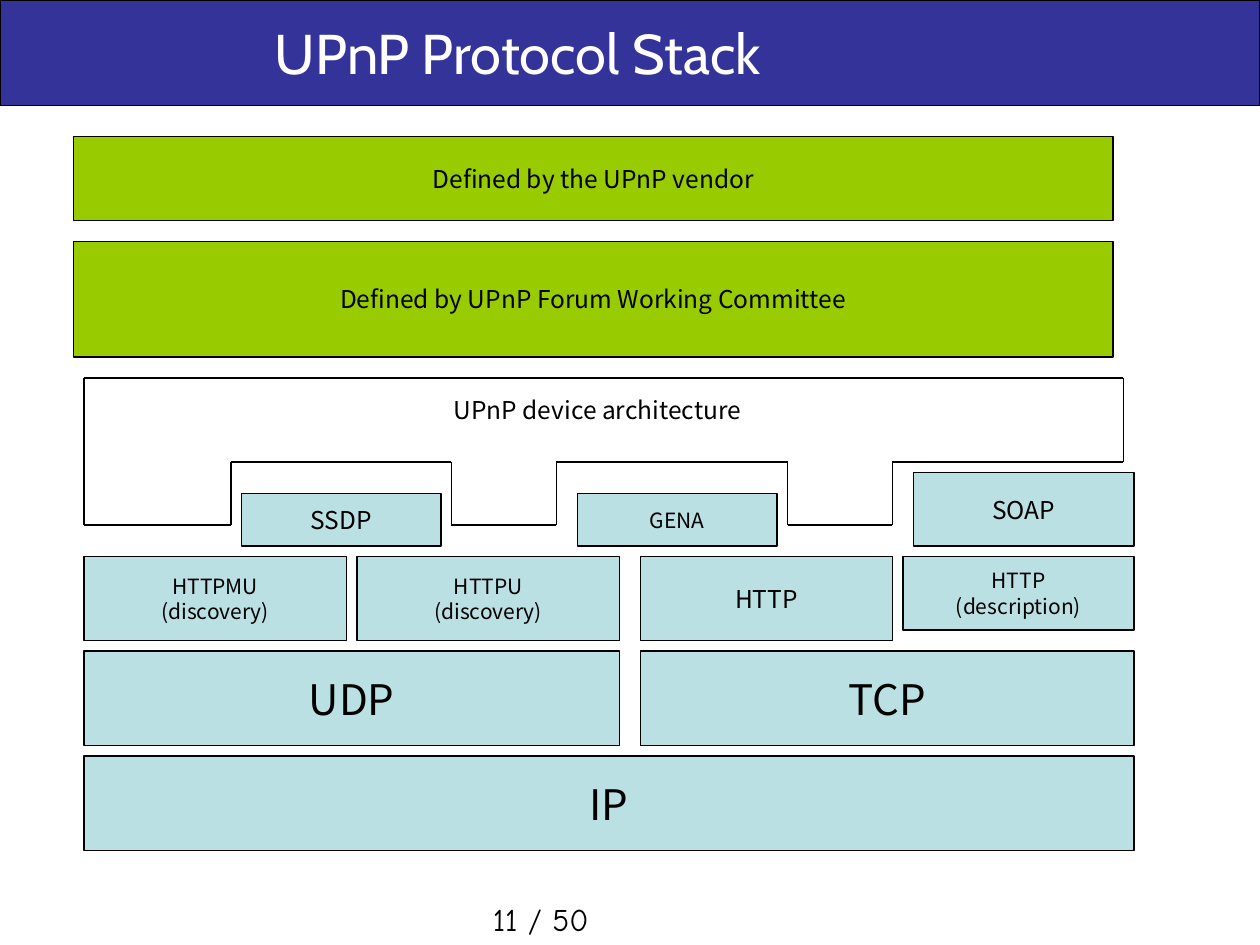
"""Build the UPnP protocol stack slide."""
from itertools import pairwise

from lxml.etree import SubElement
from pptx import Presentation
from pptx.dml.color import RGBColor
from pptx.enum.shapes import MSO_CONNECTOR as Connector, MSO_SHAPE as Shape
from pptx.enum.text import MSO_ANCHOR as Anchor, PP_ALIGN as Align
from pptx.oxml.ns import qn
from pptx.util import Pt

COLORS = {"banner": "333399", "definition": "99CC00", "protocol": "BBE0E3",
          "ink": "000000", "title": "FFFFFF"}
BODY_FONT = "Noto Sans CJK KR"
EDGE = 0.75

BANNER = ("", 0, 0, 720, 60.5, 14, "banner")
LAYERS = [
    ("IP", 48, 432, 600, 54, 24, "protocol"),
    ("UDP", 48, 372, 306, 54, 24, "protocol"),
    ("TCP", 366, 372, 282, 54, 24, "protocol"),
    ("HTTPMU\n(discovery)", 48, 318, 150, 48, 12, "protocol"),
    ("HTTPU\n(discovery)", 204, 318, 150, 48, 12, "protocol"),
    ("HTTP", 366, 318, 144, 48, 14, "protocol"),
    ("HTTP\n(description)", 516, 318, 132, 42, 12, "protocol"),
    ("SSDP", 138, 282, 114, 30, 14, "protocol"),
    ("GENA", 330, 282, 114, 30, 12, "protocol"),
    ("SOAP", 522, 270, 126, 42, 14, "protocol"),
    ("Defined by UPnP Forum Working Committee", 42, 138, 594, 66, 14, "definition"),
    ("Defined by the UPnP vendor", 42, 78, 594, 48, 14, "definition"),
]
ARCHITECTURE_OUTLINE = [
    (132, 300), (48, 300), (48, 216), (642, 216), (642, 264), (510, 264),
    (510, 300), (450, 300), (450, 264), (318, 264), (318, 300), (258, 300),
    (258, 264), (132, 264), (132, 300),
]
LABELS = [
    ("11 / 50", 274.5, 510.5, 168, 26, 18, "Comic Neue", "ink", True),
    ("UPnP Protocol Stack", 150, 7, 299, 45.5, 32, "Cabin", "title", False),
    ("UPnP device architecture", 252, 222, 312, 24, 14, BODY_FONT, "ink", True),
]


def color(name):
    return RGBColor.from_string(COLORS[name])


def write(frame, text, size, font, ink, align, wrap):
    frame.text = text
    frame.word_wrap = wrap
    for paragraph in frame.paragraphs:
        paragraph.alignment = align
        paragraph.font.size = Pt(size)
        paragraph.font.name = font
        paragraph.font.color.rgb = color(ink)


def add_layer(slide, text, left, top, width, height, size, fill):
    layer = slide.shapes.add_shape(
        Shape.RECTANGLE, Pt(left), Pt(top), Pt(width), Pt(height))
    layer.shadow.inherit = False
    layer.fill.solid()
    layer.fill.fore_color.rgb = color(fill)
    layer.line.color.rgb = color("ink")
    layer.line.width = Pt(EDGE)
    if text:
        layer.text_frame.vertical_anchor = Anchor.MIDDLE
        write(layer.text_frame, text, size, BODY_FONT, "ink", Align.CENTER, False)


def add_edge(slide, start, end):
    edge = slide.shapes.add_connector(
        Connector.STRAIGHT, *(Pt(length) for length in start + end))
    edge.line.color.rgb = color("ink")
    edge.line.width = Pt(EDGE)
    SubElement(edge._element.spPr, qn("a:effectLst"))


def add_label(slide, text, left, top, width, height, size, font, ink, wrap):
    label = slide.shapes.add_textbox(Pt(left), Pt(top), Pt(width), Pt(height))
    write(label.text_frame, text, size, font, ink, Align.LEFT, wrap)


def main():
    deck = Presentation()
    deck.slide_width, deck.slide_height = Pt(720), Pt(540)
    slide = deck.slides.add_slide(deck.slide_layouts[6])
    for layer in [BANNER, *LAYERS]:
        add_layer(slide, *layer)
    for start, end in pairwise(ARCHITECTURE_OUTLINE):
        add_edge(slide, start, end)
    for label in LABELS:
        add_label(slide, *label)
    deck.save("out.pptx")


if __name__ == "__main__":
    main()
